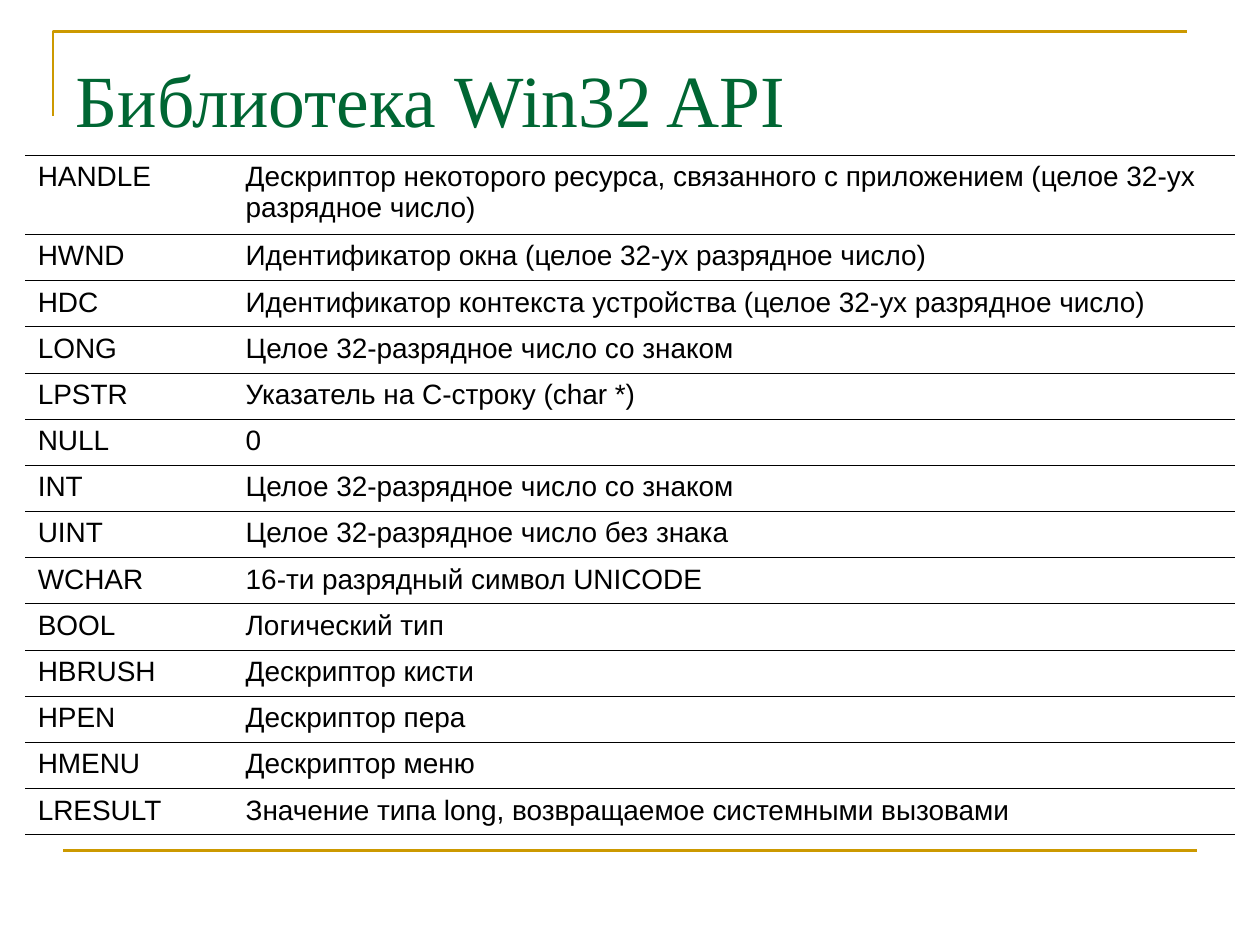
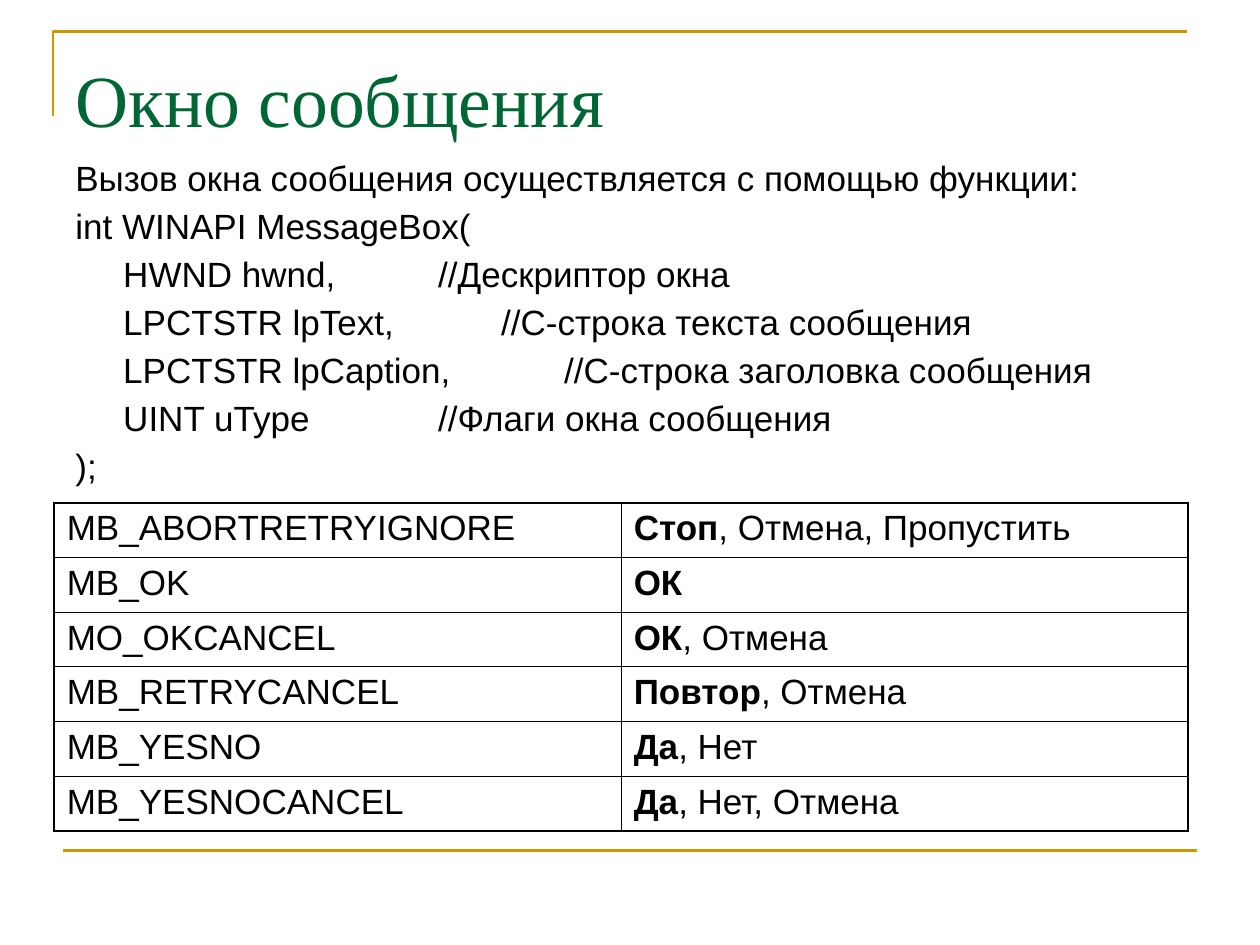
import pptx
import pptx.util
import pptx.dml.color
import pptx.enum.text
import pptx.oxml
import pptx.oxml.ns
import lxml.etree

Inches, Pt = pptx.util.Inches, pptx.util.Pt
qn = pptx.oxml.ns.qn
ALIGN, ANCHOR = pptx.enum.text.PP_ALIGN, pptx.enum.text.MSO_ANCHOR

# Content
TYPES = [
    ("HANDLE", "Дескриптор некоторого ресурса, связанного с приложением (целое 32-ух разрядное число)"),
    ("HWND", "Идентификатор окна (целое 32-ух разрядное число)"),
    ("HDC", "Идентификатор контекста устройства (целое 32-ух разрядное число)"),
    ("LONG", "Целое 32-разрядное число со знаком"),
    ("LPSTR", "Указатель на С-строку (char *)"),
    ("NULL", "0"),
    ("INT", "Целое 32-разрядное число со знаком"),
    ("UINT", "Целое 32-разрядное число без знака"),
    ("WCHAR", "16-ти разрядный символ UNICODE"),
    ("BOOL", "Логический тип"),
    ("HBRUSH", "Дескриптор кисти"),
    ("HPEN", "Дескриптор пера"),
    ("HMENU", "Дескриптор меню"),
    ("LRESULT", "Значение типа long, возвращаемое системными вызовами"),
]
CALL = [
    "Вызов окна сообщения осуществляется с помощью функции:",
    "int WINAPI MessageBox(",
    "\tHWND hwnd,\t\t//Дескриптор окна",
    "\tLPCTSTR lpText,\t\t//С-строка текста сообщения",
    "\tLPCTSTR lpCaption,\t\t//С-строка заголовка сообщения",
    "\tUINT uType\t\t\t//Флаги окна сообщения",
    ");",
]
# Flag, default button (bold), other buttons
FLAGS = [
    ("MB_ABORTRETRYIGNORE", "Стоп", ", Отмена, Пропустить"),
    ("MB_OK", "ОК", ""),
    ("MO_OKCANCEL", "ОК", ", Отмена"),
    ("MB_RETRYCANCEL", "Повтор", ", Отмена"),
    ("MB_YESNO", "Да", ", Нет"),
    ("MB_YESNOCANCEL", "Да", ", Нет, Отмена"),
]

# Shared style
HEX = {"title": "006633", "rule": "CC9900", "text": "000000"}
THIN, THICK = 0.45, 1.08
LEFT, WIDTH = 0.5, 9


def tint(name):
    return pptx.dml.color.RGBColor.from_string(HEX[name])


def write(frame, text, bold="", size=20, font="Arial", color="text",
          before=0, line=None, hang=0):
    """Fill a frame, one paragraph per line, with an optional bold lead."""
    frame.word_wrap = True
    for i, part in enumerate(text.split("\n")):
        para = frame.paragraphs[0] if i == 0 else frame.add_paragraph()
        para.alignment = ALIGN.LEFT
        para.space_before = Pt(before)
        para.line_spacing = line
        if hang:
            props = para._p.get_or_add_pPr()
            props.set("marL", str(Inches(hang)))
            props.set("indent", str(-Inches(hang)))
            tabs = lxml.etree.SubElement(props, qn("a:tabLst"))
            for stop in range(8):
                lxml.etree.SubElement(tabs, qn("a:tab"), pos=str(Inches(stop)), algn="l")
        for words, heavy in ((bold, True), (part, False)):
            if words:
                run = para.add_run()
                run.text = words
                run.font.size, run.font.name = Pt(size), font
                run.font.bold = heavy
                run.font.color.rgb = tint(color)


def edge(cell, widths):
    """Set left, right, top and bottom borders; zero means none."""
    props = cell._tc.get_or_add_tcPr()
    for i, (side, width) in enumerate(zip("LRTB", widths)):
        line = lxml.etree.Element(qn("a:ln" + side), w=str(Pt(width)))
        if width:
            fill = lxml.etree.SubElement(line, qn("a:solidFill"))
            lxml.etree.SubElement(fill, qn("a:srgbClr"), val=HEX["text"])
        else:
            lxml.etree.SubElement(line, qn("a:noFill"))
        props.insert(i, line)


def grid(slide, left, top, cols, rows):
    table = slide.shapes.add_table(
        len(rows), len(cols), Inches(left), Inches(top),
        Inches(sum(cols)), Inches(sum(rows))).table
    table.first_row = table.horz_banding = False
    for col, width in zip(table.columns, cols):
        col.width = Inches(width)
    for row, height in zip(table.rows, rows):
        row.height = Inches(height)
    for cell in table.iter_cells():
        cell.fill.background()
    return table


def start(deck, title):
    """Add a slide with its corner, bottom rule and title."""
    slide = deck.slides.add_slide(deck.slide_layouts[5])
    path = slide.shapes.build_freeform(Inches(0.42), Inches(0.92))
    path.add_line_segments(
        [(Inches(0.42), Inches(0.25)), (Inches(9.42), Inches(0.25))], close=False)
    corner = path.convert_to_shape()
    corner.shadow.inherit = False
    corner.fill.background()
    rule = slide.shapes.add_connector(
        pptx.enum.shapes.MSO_CONNECTOR.STRAIGHT,
        Inches(LEFT), Inches(6.75), Inches(LEFT + WIDTH), Inches(6.75))
    lxml.etree.SubElement(rule._element.spPr, qn("a:effectLst"))
    for mark in (corner, rule):
        mark.line.color.rgb = tint("rule")
        mark.line.width = Pt(1.5)
    head = slide.shapes.title
    head.left, head.top = Inches(LEFT), Inches(0.3)
    head.width, head.height = Inches(WIDTH), Inches(1.25)
    head.text_frame.vertical_anchor = ANCHOR.TOP
    head.text_frame.margin_top = Inches(0.13)
    write(head.text_frame, title, size=42, font="Times New Roman", color="title")
    return slide


def main():
    deck = pptx.Presentation()
    deck.slide_width, deck.slide_height = Inches(10), Inches(7.5)

    # Types: horizontal rules only, first row holds two lines
    slide = start(deck, "Библиотека Win32 API")
    first, full = 0.63, 5.4
    rest = len(TYPES) - 1
    rows = [first] + [(full - first) / rest] * rest
    table = grid(slide, 0.2, 1.23, [1.65, 7.95], rows)
    for r, pair in enumerate(TYPES):
        for c, text in enumerate(pair):
            cell = table.cell(r, c)
            write(cell.text_frame, text, size=16, before=4)
            edge(cell, (0, 0, THIN, THIN))

    # Message box: call and flags
    slide = start(deck, "Окно сообщения")
    box = slide.shapes.add_textbox(
        Inches(LEFT), Inches(1.23), Inches(WIDTH), Inches(2.68))
    write(box.text_frame, "\n".join(CALL), before=5.8, line=0.9, hang=0.38)

    count = len(FLAGS)
    table = grid(slide, 0.43, 3.99, [WIDTH / 2] * 2, [2.6 / count] * count)
    for r, (flag, lead, more) in enumerate(FLAGS):
        top = THIN if r else THICK
        base = THIN if r < count - 1 else THICK
        write(table.cell(r, 0).text_frame, flag, before=5)
        write(table.cell(r, 1).text_frame, more, bold=lead, before=5)
        edge(table.cell(r, 0), (THICK, THIN, top, base))
        edge(table.cell(r, 1), (THIN, THICK, top, base))

    deck.save("out.pptx")


if __name__ == "__main__":
    import pptx.enum.shapes
    main()
